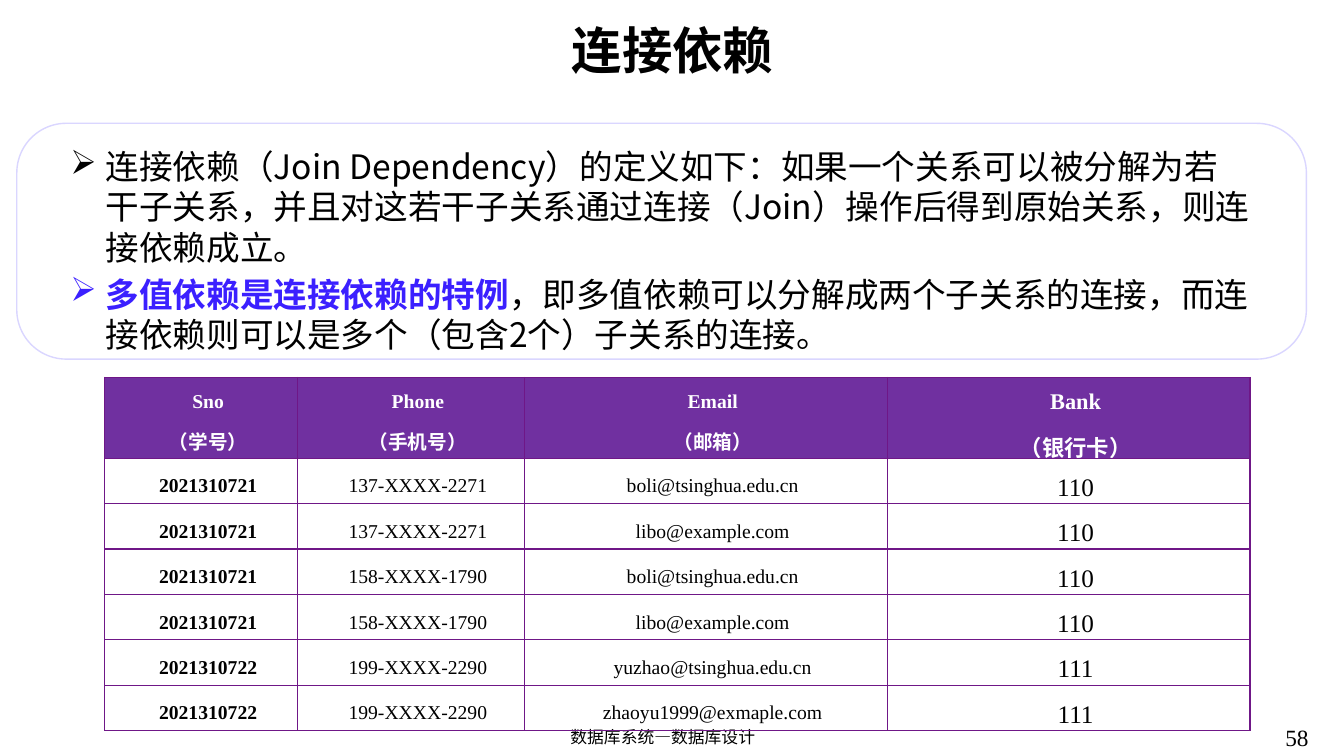
"""Build the slide on join dependency: definition panel and example table."""
import pptx
import pptx.dml.color
import pptx.enum.shapes
import pptx.enum.text
import pptx.oxml
import pptx.oxml.ns
import pptx.util

prs = pptx.Presentation()
prs.slide_width = pptx.util.Inches(13.33)
prs.slide_height = pptx.util.Inches(7.5)
s = prs.slides.add_slide(prs.slide_layouts[6])
U = prs.slide_width / 100
NS = pptx.oxml.ns.nsdecls("a")
SANS, SERIF = "Noto Sans CJK SC", "Times New Roman"
CENTER = pptx.enum.text.PP_ALIGN.CENTER
LEFT = pptx.enum.text.PP_ALIGN.LEFT
TOP = pptx.enum.text.MSO_ANCHOR.TOP
MIDDLE = pptx.enum.text.MSO_ANCHOR.MIDDLE


def rgb(color):
    """Turn a hex string into a colour."""
    return pptx.dml.color.RGBColor.from_string(color)


def write(p, text, color="000000", **fmt):
    """Add a run whose font takes the given values."""
    r = p.add_run()
    r.text = text
    for key, value in fmt.items():
        setattr(r.font, key, value)
    r.font.color.rgb = rgb(color)
    r.font._element.append(pptx.oxml.parse_xml(f'<a:ea {NS} typeface="{SANS}"/>'))


sp = s.shapes.add_shape(pptx.enum.shapes.MSO_SHAPE.ROUNDED_RECTANGLE,
                        *[round(v * U) for v in (1.25, 9.18, 95.95, 17.55)])
sp.adjustments[0] = 0.21
sp.shadow.inherit = False
sp.fill.solid()
sp.fill.fore_color.rgb = rgb("FFFFFF")
sp.line.color.rgb = rgb("DAD6FF")
sp.line.width = pptx.util.Pt(1)

labels = [
    ("58", (94.9, 53.49, 6.3, 3.9), LEFT, TOP, {"size": 16.6, "name": SERIF}),
    ("连接依赖", (8.63, 0.9, 82.82, 5.55), CENTER, MIDDLE, {"size": 36, "name": SANS, "bold": True}),
    ("数据库系统—数据库设计", (33.53, 53.71, 31.58, 2.55), CENTER, TOP, {"size": 12, "name": SANS}),
]
for text, box, align, anchor, fmt in labels:
    tf = s.shapes.add_textbox(*[round(v * U) for v in box]).text_frame
    tf.word_wrap = True
    tf.vertical_anchor = anchor
    tf.paragraphs[0].alignment = align
    write(tf.paragraphs[0], text, **{**fmt, "size": pptx.util.Pt(fmt["size"])})

points = [
    [("连接依赖（Join Dependency）的定义如下：如果一个关系可以被分解为若干子关系，"
      "并且对这若干子关系通过连接（Join）操作后得到原始关系，则连接依赖成立。", "000000", False)],
    [("多值依赖是连接依赖的特例", "3B20FF", True),
     ("，即多值依赖可以分解成两个子关系的连接，而连接依赖则可以是多个（包含2个）子关系的连接。",
      "000000", False)],
]
tf = s.shapes.add_textbox(*[round(v * U) for v in (4.5, 10.5, 89.2, 11.03)]).text_frame
tf.word_wrap = True
for i, runs in enumerate(points):
    p = tf.add_paragraph() if i else tf.paragraphs[0]
    pPr = p._p.get_or_add_pPr()
    pPr.set("marL", str(round(2.63 * U)))
    pPr.set("indent", str(round(-2.63 * U)))
    for bullet in ('buFont {} typeface="Wingdings" charset="2"', 'buChar {} char="Ø"'):
        pPr.append(pptx.oxml.parse_xml(f"<a:{bullet.format(NS)}/>"))
    p.line_spacing = 1.0
    p.space_before = pptx.util.Pt(4.8 if i else 0)
    for text, color, bold in runs:
        write(p, text, color, size=pptx.util.Pt(24), name=SANS, bold=bold)

rows = [
    ("Sno\n（学号）", "Phone\n（手机号）", "Email\n（邮箱）", "Bank\n（银行卡）"),
    ("2021310721", "137-XXXX-2271", "boli@tsinghua.edu.cn", "110"),
    ("2021310721", "137-XXXX-2271", "libo@example.com", "110"),
    ("2021310721", "158-XXXX-1790", "boli@tsinghua.edu.cn", "110"),
    ("2021310721", "158-XXXX-1790", "libo@example.com", "110"),
    ("2021310722", "199-XXXX-2290", "yuzhao@tsinghua.edu.cn", "111"),
    ("2021310722", "199-XXXX-2290", "zhaoyu1999@exmaple.com", "111"),
]
widths = [14.33, 16.88, 27, 27]
heights = [5.48] + [3] * 6
table = s.shapes.add_table(len(rows), len(widths), *[
    round(v * U) for v in (7.8, 28.1, sum(widths), sum(heights))]).table
for column, width in zip(table.columns, widths):
    column.width = round(width * U)
for i, row in enumerate(rows):
    table.rows[i].height = round(heights[i] * U)
    for j, text in enumerate(row):
        cell = table.cell(i, j)
        inset = round(0.53 * U)
        layout = {"margin_left": inset, "margin_right": inset, "margin_top": 0,
                  "margin_bottom": 0, "vertical_anchor": MIDDLE}
        for key, value in layout.items():
            setattr(cell, key, value)
        if i == 0:
            cell.fill.solid()
            cell.fill.fore_color.rgb = rgb("7030A0")
        else:
            cell.fill.background()
        for k, side in enumerate("LRTB"):
            cell._tc.tcPr.insert(k, pptx.oxml.parse_xml(
                f'<a:ln{side} {NS} w="12700"><a:solidFill><a:srgbClr val="6F1787"/>'
                f'</a:solidFill></a:ln{side}>'))
        size = 14 if j < 3 else 18 if i else 16
        for k, line in enumerate(text.split("\n")):
            p = cell.text_frame.add_paragraph() if k else cell.text_frame.paragraphs[0]
            p.alignment = CENTER
            p.line_spacing = 1.5
            p._p.get_or_add_pPr().set("indent", str(round(1.05 * U)))
            write(p, line, "000000" if i else "FFFFFF", size=pptx.util.Pt(size),
                  name=SERIF, bold=i == 0 or j == 0)

prs.save("out.pptx")
